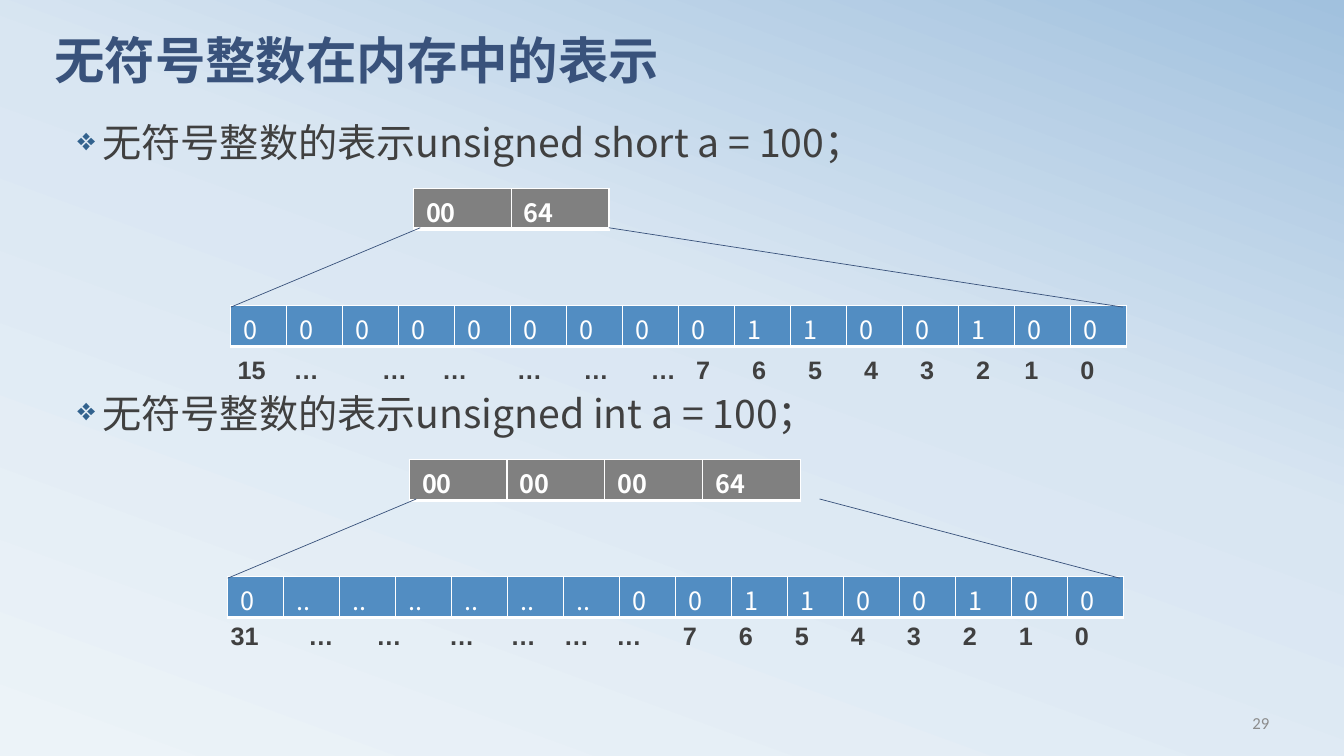
"""Build the slide on how unsigned integers are stored in memory."""
from copy import deepcopy

from lxml import etree
from pptx import Presentation
from pptx.dml.color import RGBColor
from pptx.enum.shapes import MSO_CONNECTOR
from pptx.enum.text import MSO_ANCHOR, PP_ALIGN
from pptx.oxml.ns import qn
from pptx.util import Pt

STRAIGHT = MSO_CONNECTOR.STRAIGHT
MIDDLE = MSO_ANCHOR.MIDDLE
LEFT, RIGHT = PP_ALIGN.LEFT, PP_ALIGN.RIGHT
HAN_FONT = "Noto Sans CJK SC"
NAVY, GREY, BLUE, WHITE, INK = "39527B", "808080", "528DC2", "FFFFFF", "404040"
color = RGBColor.from_string


def add_text(text, left, top, width, height, size, name, tint, bold=False, align=LEFT):
    box = page.shapes.add_textbox(Pt(left), Pt(top), Pt(width), Pt(height))
    box.text_frame.word_wrap = True
    para = box.text_frame.paragraphs[0]
    para.text = text
    para.alignment = align
    font = para.runs[0].font
    font.size, font.name, font.bold = Pt(size), name, bold
    font.color.rgb = color(tint)
    latin = font._element.find(qn("a:latin"))
    latin.addnext(latin.makeelement(qn("a:ea"), {"typeface": HAN_FONT}))
    return box


def add_row(values, left, top, column_width, fill, bold):
    frame = page.shapes.add_table(
        1, len(values), Pt(left), Pt(top), Pt(column_width * len(values)), Pt(29.2))
    for column, value in enumerate(values):
        frame.table.columns[column].width = Pt(column_width)
        cell = frame.table.cell(0, column)
        cell.margin_left = cell.margin_right = Pt(9.2)
        cell.margin_top = cell.margin_bottom = Pt(3.6)
        cell.text = value
        font = cell.text_frame.paragraphs[0].runs[0].font
        font.size, font.name, font.bold = Pt(18), HAN_FONT, bold
        font.color.rgb = color(WHITE)
        properties = cell._tc.get_or_add_tcPr()
        for side, weight in (("lnL", 1), ("lnR", 1), ("lnT", 1), ("lnB", 3)):
            border = etree.SubElement(properties, qn(f"a:{side}"), w=str(Pt(weight)))
            paint = etree.SubElement(border, qn("a:solidFill"))
            etree.SubElement(paint, qn("a:srgbClr"), val=WHITE)
        cell.fill.solid()
        cell.fill.fore_color.rgb = color(fill)


deck = Presentation()
deck.slide_width, deck.slide_height = Pt(960), Pt(540)
page = deck.slides.add_slide(deck.slide_layouts[6])

backdrop = page.background.fill
backdrop.gradient()
backdrop.gradient_angle = 70
first_stop = backdrop.gradient_stops[0]._gs
first_stop.addnext(deepcopy(first_stop))
for stop, (position, tint) in zip(
        backdrop.gradient_stops, ((0, "ECF3F8"), (0.58, "D9E6F2"), (1, "A1C1DE"))):
    stop.position = position
    stop.color.rgb = color(tint)

title = add_text("无符号整数在内存中的表示", 31.7, 25.9, 864, 67.7, 36, "Calibri", NAVY, True)
title.text_frame.paragraphs[0].line_spacing = 0.8
number = add_text("29", 689.8, 501.8, 223.9, 28.8, 12, "Calibri", "8C8C8C", align=RIGHT)
number.text_frame.vertical_anchor = MIDDLE

panels = [
    {
        "heading": "无符号整数的表示unsigned short a = 100；", "heading_top": 85,
        "bytes": ["00", "64"], "bytes_left": 295.2, "bytes_top": 134.6,
        "bits": list("0000000001100100"), "bits_left": 164.9, "bits_top": 218.2,
        "lines": ((300.2, 164.9), (434.9, 802.1)),
        "labels": "15 … … … … … … 7 6 5 4 3 2 1 0", "labels_at": (162.7, 249.8),
        "tabs": [40, 103, 146, 199.5, 247, 295] + [327.5 + 40 * n for n in range(6)] + [562, 602],
    },
    {
        "heading": "无符号整数的表示unsigned int a = 100；", "heading_top": 278,
        "bytes": ["00", "00", "00", "64"], "bytes_left": 292.3, "bytes_top": 328.3,
        "bits": ["0"] + [".."] * 6 + list("001100100"), "bits_left": 162.7, "bits_top": 411.8,
        "lines": ((297.4, 162.7), (585.4, 799.9)),
        "labels": "31 … … … … … … 7 6 5 4 3 2 1 0", "labels_at": (157.7, 439.9),
        "tabs": [55.5, 104, 156, 200, 238, 275.5] + [323 + 40 * n for n in range(8)],
    },
]

for panel in panels:
    heading = add_text(panel["heading"], 48.2, panel["heading_top"], 885.6, 44, 28, HAN_FONT, INK)
    para = heading.text_frame.paragraphs[0]
    para.line_spacing = 0.9
    layout = para._p.get_or_add_pPr()
    layout.set("marL", str(Pt(18)))
    layout.set("indent", str(Pt(-18)))
    bullet_color = etree.SubElement(layout, qn("a:buClr"))
    etree.SubElement(bullet_color, qn("a:srgbClr"), val="32628E")
    etree.SubElement(layout, qn("a:buSzPct"), val="80000")
    etree.SubElement(layout, qn("a:buChar"), char="❖")

    add_row(panel["bits"], panel["bits_left"], panel["bits_top"], 40, BLUE, False)
    add_row(panel["bytes"], panel["bytes_left"], panel["bytes_top"], 69.9, GREY, True)

    for start, end in panel["lines"]:
        line = page.shapes.add_connector(
            STRAIGHT, Pt(start), Pt(panel["bytes_top"] + 28.1),
            Pt(end), Pt(panel["bits_top"] + 1.2))
        line.line.width = Pt(0.5)
        line.line.color.rgb = color(NAVY)
        etree.SubElement(line._element.spPr, qn("a:effectLst"))

    left, top = panel["labels_at"]
    labels = add_text("\t".join(panel["labels"].split()), left, top, 640, 28.8, 18, "Arial", INK, True)
    tab_list = etree.SubElement(labels.text_frame.paragraphs[0]._p.get_or_add_pPr(), qn("a:tabLst"))
    for tab in panel["tabs"]:
        etree.SubElement(tab_list, qn("a:tab"), pos=str(Pt(tab)), algn="l")

deck.save("out.pptx")
